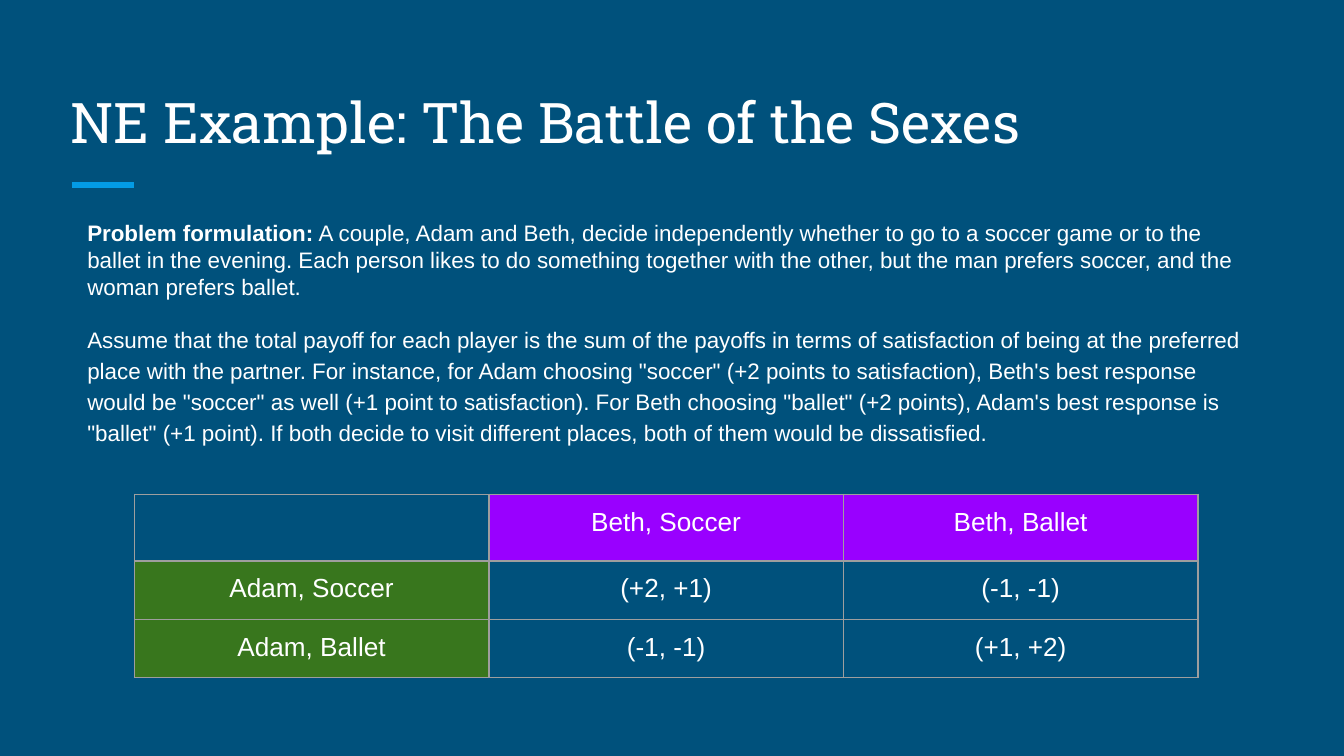
import pptx
import pptx.dml.color
import pptx.enum.shapes
import pptx.enum.text
import pptx.oxml
import pptx.oxml.ns
import pptx.util

Cm, Pt = pptx.util.Cm, pptx.util.Pt
Align = pptx.enum.text.PP_ALIGN
Anchor = pptx.enum.text.MSO_ANCHOR

BACK, WHITE, BLUE = "00517C", "FFFFFF", "039BE5"
PURPLE, GREEN, GRAY = "9900FF", "38761D", "9E9E9E"

STORY = [
    ("Problem formulation:", True),
    (" A couple, Adam and Beth, decide independently whether to go to a soccer "
     "game or to the ballet in the evening. Each person likes to do something "
     "together with the other, but the man prefers soccer, and the woman "
     "prefers ballet.", False),
]
PAYOFF = [
    ("Assume that the total payoff for each player is the sum of the payoffs in "
     "terms of satisfaction of being at the preferred place with the partner. "
     "For instance, for Adam choosing \"soccer\" (+2 points to satisfaction), "
     "Beth's best response would be \"soccer\" as well (+1 point to "
     "satisfaction). For Beth choosing \"ballet\" (+2 points), Adam's best "
     "response is \"ballet\" (+1 point). If both decide to visit different "
     "places, both of them would be dissatisfied.", False),
]
GAME = [
    ["", "Beth, Soccer", "Beth, Ballet"],
    ["Adam, Soccer", "(+2, +1)", "(-1, -1)"],
    ["Adam, Ballet", "(-1, -1)", "(+1, +2)"],
]


def color(code):
    return pptx.dml.color.RGBColor.from_string(code)


def style(item, values):
    for name, value in values.items():
        setattr(item, name, value)


def edge(cell, code, width):
    """Draw the four borders of a table cell."""
    props = cell._tc.get_or_add_tcPr()
    space = pptx.oxml.ns.nsdecls("a")
    for side in "LRTB":
        props.append(pptx.oxml.parse_xml(
            f'<a:ln{side} {space} w="{Pt(width)}"><a:solidFill>'
            f'<a:srgbClr val="{code}"/></a:solidFill></a:ln{side}>'))


class Deck:
    pad = Cm(0.25)
    frame = {"margin_left": pad, "margin_right": pad,
             "margin_top": pad, "margin_bottom": pad}
    head = {"name": "Roboto Slab", "size": Pt(30), "bold": False}
    body = {"name": "Arial", "size": Pt(12)}
    grid = {"name": "Arial", "size": Pt(14), "bold": False}

    def __init__(self, show):
        self.slide = show.slides.add_slide(show.slide_layouts[5])
        fill = self.slide.background.fill
        fill.solid()
        fill.fore_color.rgb = color(BACK)

    def put(self, para, text, look):
        """Add a white run to a paragraph."""
        run = para.add_run()
        run.text = text
        style(run.font, look)
        run.font.color.rgb = color(WHITE)

    def title(self, text, left, top, width, height):
        shape = self.slide.shapes.title
        style(shape, {"left": Cm(left), "top": Cm(top),
                      "width": Cm(width), "height": Cm(height)})
        style(shape.text_frame, self.frame | {
            "vertical_anchor": Anchor.BOTTOM, "word_wrap": True,
            "auto_size": pptx.enum.text.MSO_AUTO_SIZE.NONE})
        para = shape.text_frame.paragraphs[0]
        para.alignment = Align.LEFT
        self.put(para, text, self.head)

    def rule(self, left, top, width):
        line = self.slide.shapes.add_connector(
            pptx.enum.shapes.MSO_CONNECTOR.STRAIGHT,
            Cm(left), Cm(top), Cm(left + width), Cm(top))
        line.line.color.rgb = color(BLUE)
        line.line.width = Pt(3)
        line._element.spPr.append(pptx.oxml.parse_xml(
            f'<a:effectLst {pptx.oxml.ns.nsdecls("a")}/>'))

    def text(self, paras, left, top, width, height):
        """Add a text box from pairs of runs and paragraph format."""
        box = self.slide.shapes.add_textbox(
            Cm(left), Cm(top), Cm(width), Cm(height)).text_frame
        style(box, self.frame | {"word_wrap": True})
        for i, (runs, form) in enumerate(paras):
            para = box.add_paragraph() if i else box.paragraphs[0]
            style(para, form)
            for words, bold in runs:
                self.put(para, words, self.body | {"bold": bold})

    def table(self, rows, left, top, wide, high):
        """Add a payoff table; wide and high are the size of one cell."""
        count = len(rows[0])
        table = self.slide.shapes.add_table(
            len(rows), count, Cm(left), Cm(top),
            Cm(wide * count), Cm(high * len(rows))).table
        style(table, {"first_row": False, "horz_banding": False})
        for r, row in enumerate(rows):
            for c, words in enumerate(row):
                cell = table.cell(r, c)
                style(cell, self.frame)
                para = cell.text_frame.paragraphs[0]
                para.alignment = Align.CENTER
                self.put(para, words, self.grid)
                edge(cell, GRAY, 0.75)
                if words and 0 in (r, c):
                    cell.fill.solid()
                    cell.fill.fore_color.rgb = color(GREEN if r else PURPLE)
                else:
                    cell.fill.background()


def main():
    show = pptx.Presentation()
    show.slide_width, show.slide_height = Cm(25.4), Cm(14.29)
    deck = Deck(show)
    deck.rule(1.36, 3.5, 1.18)
    deck.title("NE Example: The Battle of the Sexes", 1.08, 1.27, 23.24, 1.9)
    deck.text([(STORY, {}),
               (PAYOFF, {"line_spacing": 1.15, "space_before": Pt(12),
                         "space_after": Pt(12)})], 1.4, 3.89, 22.6, 5.26)
    deck.table(GAME, 2.54, 9.34, 6.7, 1.1)
    show.save("out.pptx")


if __name__ == "__main__":
    main()
